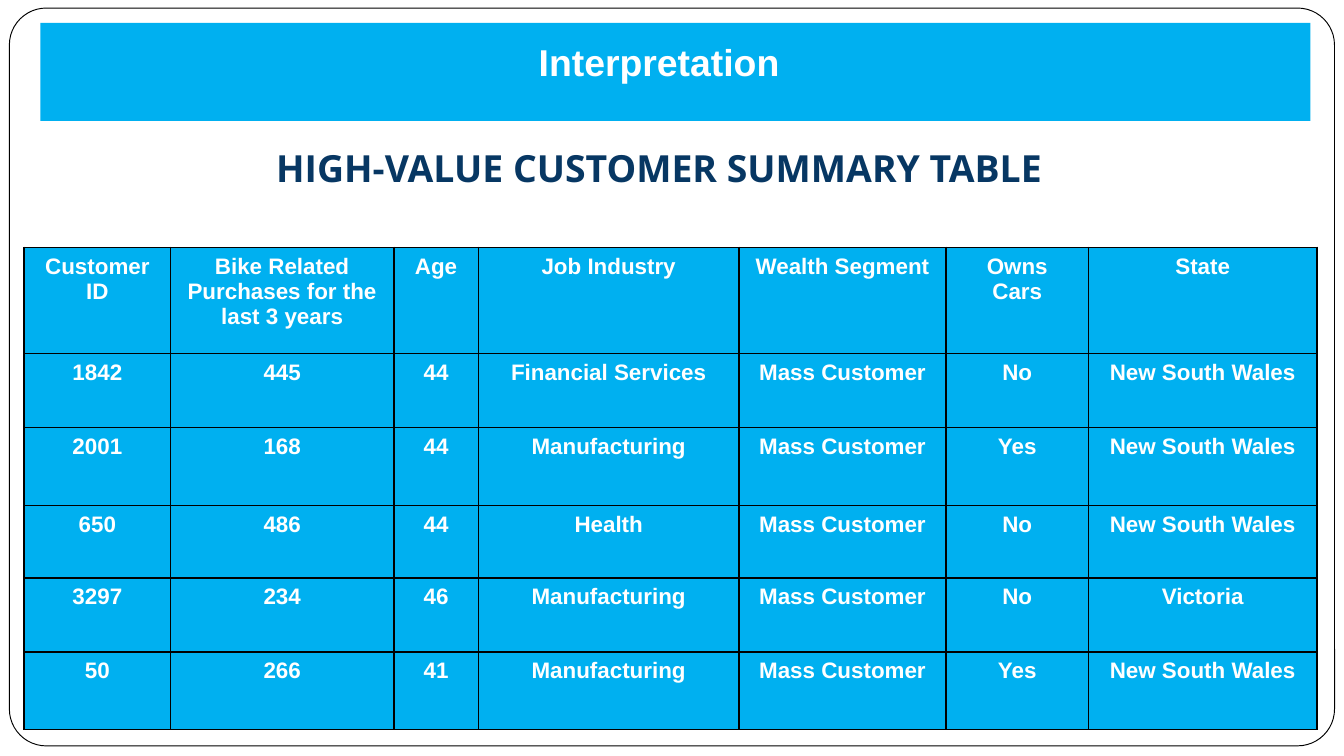
"""Build the high-value customer summary slide."""
from dataclasses import dataclass
from typing import NamedTuple, Optional

import pptx
import pptx.dml.color
import pptx.enum.shapes
import pptx.enum.text
import pptx.oxml
import pptx.oxml.ns
import pptx.util

Inches = pptx.util.Inches
Pt = pptx.util.Pt


@dataclass(frozen=True)
class Theme:
    """Colours, fonts and sizes of the slide."""
    accent: str = "00B0F0"
    white: str = "FFFFFF"
    navy: str = "073763"
    black: str = "000000"
    body_font: str = "Arial"
    heading_font: str = "Open Sans"
    title_size: float = 20
    table_size: float = 12
    frame_line: float = 0.5
    border_line: float = 1


class Box(NamedTuple):
    """A place on the slide, in inches."""
    left: float
    top: float
    width: float
    height: float

    def lengths(self) -> list:
        """Return the four values as slide lengths."""
        return [Inches(value) for value in self]


class Customer(NamedTuple):
    """One row of the summary table."""
    customer_id: str
    purchases: str
    age: str
    industry: str
    segment: str
    owns_cars: str
    state: str


THEME = Theme()
COLUMN_WIDTHS = (1.09, 1.66, 0.63, 1.94, 1.54, 1.06, 1.7)
ROW_HEIGHTS = (0.79, 0.55, 0.58, 0.54, 0.55, 0.58)
MASS = "Mass Customer"
NSW = "New South Wales"
HEADINGS = Customer("Customer ID", "Bike Related Purchases for the last 3 years",
                    "Age", "Job Industry", "Wealth Segment", "Owns Cars", "State")
CUSTOMERS = (
    Customer("1842", "445", "44", "Financial Services", MASS, "No", NSW),
    Customer("2001", "168", "44", "Manufacturing", MASS, "Yes", NSW),
    Customer("650", "486", "44", "Health", MASS, "No", NSW),
    Customer("3297", "234", "46", "Manufacturing", MASS, "No", "Victoria"),
    Customer("50", "266", "41", "Manufacturing", MASS, "Yes", NSW),
)


def rgb(colour: str) -> pptx.dml.color.RGBColor:
    """Turn a hex value into a colour."""
    return pptx.dml.color.RGBColor.from_string(colour)


def write_text(frame, text: str, *, size: float, colour: str = THEME.white,
               font: str = THEME.body_font, spacing: Optional[float] = None) -> None:
    """Write one bold, centred paragraph into a text frame."""
    paragraph = frame.paragraphs[0]
    paragraph.alignment = pptx.enum.text.PP_ALIGN.CENTER
    if spacing:
        paragraph.line_spacing = spacing
    run = paragraph.add_run()
    run.text = text
    run.font.name = font
    run.font.size = Pt(size)
    run.font.bold = True
    run.font.color.rgb = rgb(colour)


def add_panel(slide, kind, box: Box, fill: str, line: Optional[str] = None):
    """Draw a filled shape, outlined if a line colour is given."""
    panel = slide.shapes.add_shape(kind, *box.lengths())
    panel.shadow.inherit = False
    panel.fill.solid()
    panel.fill.fore_color.rgb = rgb(fill)
    if line:
        panel.line.color.rgb = rgb(line)
        panel.line.width = Pt(THEME.frame_line)
    else:
        panel.line.fill.background()
    return panel


def add_heading(slide, box: Box, text: str, **text_format) -> None:
    """Add a heading in a text box with equal insets."""
    frame = slide.shapes.add_textbox(*box.lengths()).text_frame
    frame.word_wrap = True
    frame.margin_left = frame.margin_right = Inches(0.1)
    frame.margin_top = frame.margin_bottom = Inches(0.1)
    write_text(frame, text, size=THEME.title_size, **text_format)


def style_cell(cell) -> None:
    """Fill a cell and give it a border on each side."""
    cell.fill.solid()
    cell.fill.fore_color.rgb = rgb(THEME.accent)
    cell.margin_left = cell.margin_right = Inches(0.1)
    cell.margin_top = cell.margin_bottom = Inches(0.05)
    properties = cell._tc.get_or_add_tcPr()
    for index, side in enumerate(("lnL", "lnR", "lnT", "lnB")):
        border = pptx.oxml.parse_xml(
            f'<a:{side} {pptx.oxml.ns.nsdecls("a")} w="{Pt(THEME.border_line)}">'
            f'<a:solidFill><a:srgbClr val="{THEME.black}"/></a:solidFill></a:{side}>')
        properties.insert(index, border)


def add_customer_table(slide, left: float, top: float) -> None:
    """Add the summary table of customers."""
    rows = (HEADINGS, *CUSTOMERS)
    box = Box(left, top, sum(COLUMN_WIDTHS), sum(ROW_HEIGHTS))
    summary = slide.shapes.add_table(len(rows), len(HEADINGS), *box.lengths()).table
    for column, width in zip(summary.columns, COLUMN_WIDTHS):
        column.width = Inches(width)
    for row, height, customer in zip(summary.rows, ROW_HEIGHTS, rows):
        row.height = Inches(height)
        for cell, value in zip(row.cells, customer):
            style_cell(cell)
            write_text(cell.text_frame, value, size=THEME.table_size)


def main() -> None:
    """Build and save the slide."""
    deck = pptx.Presentation()
    deck.slide_width = Inches(10)
    deck.slide_height = Inches(10 * 9 / 16)
    slide = deck.slides.add_slide(deck.slide_layouts[6])
    shapes = pptx.enum.shapes.MSO_SHAPE

    page_frame = add_panel(slide, shapes.ROUNDED_RECTANGLE,
                           Box(0.07, 0.06, 9.86, 5.49), THEME.white, THEME.black)
    page_frame.adjustments[0] = 0.05
    add_panel(slide, shapes.RECTANGLE, Box(0.3, 0.17, 9.45, 0.73), THEME.accent)
    add_heading(slide, Box(0.22, 0.19, 9.37, 0.64), "Interpretation")
    add_heading(slide, Box(0.22, 0.93, 9.37, 0.56), "HIGH-VALUE CUSTOMER SUMMARY TABLE",
                colour=THEME.navy, font=THEME.heading_font, spacing=1.15)
    add_customer_table(slide, 0.18, 1.84)
    deck.save("out.pptx")


main()
